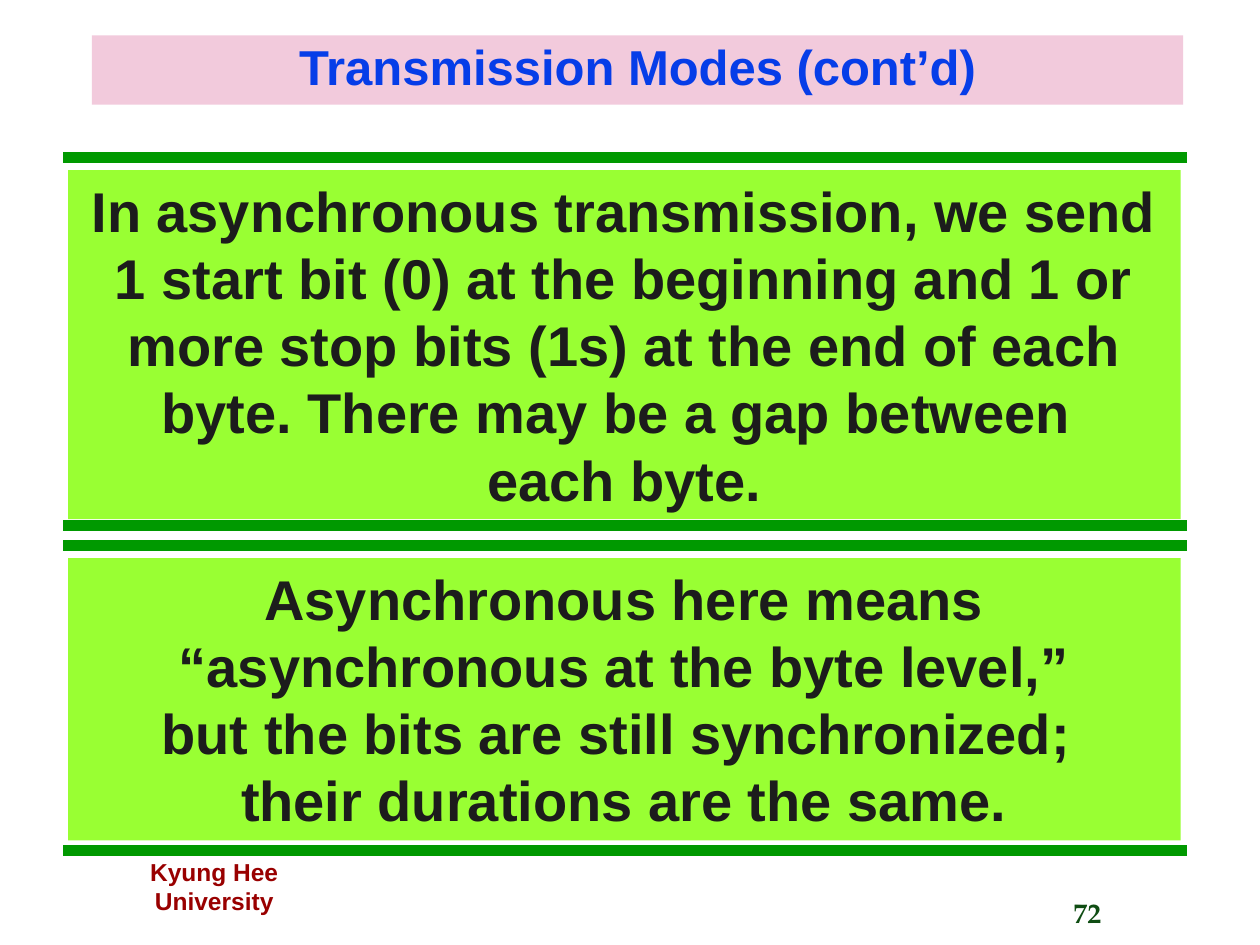
from pptx import Presentation
from pptx.dml.color import RGBColor
from pptx.enum.shapes import MSO_CONNECTOR
from pptx.enum.text import MSO_ANCHOR, PP_ALIGN
from pptx.oxml.ns import qn
from pptx.util import Pt

LINE = MSO_CONNECTOR.STRAIGHT
LEFT, CENTER = PP_ALIGN.LEFT, PP_ALIGN.CENTER
TOP, MIDDLE = MSO_ANCHOR.TOP, MSO_ANCHOR.MIDDLE

PINK = RGBColor(0xF2, 0xCA, 0xDC)
BLUE = RGBColor(0x06, 0x3D, 0xE8)
LIME = RGBColor(0x99, 0xFF, 0x33)
GREEN = RGBColor(0x00, 0x99, 0x00)
DARK_GREEN = RGBColor(0x0F, 0x4D, 0x13)
INK = RGBColor(0x1C, 0x1C, 0x1C)
MAROON = RGBColor(0x99, 0x00, 0x00)

TITLE = "Transmission Modes (cont’d)"
FOOTER = "Kyung Hee University"
PAGE = "72"

# top rule, bottom rule, box height, paragraphs
STATEMENTS = [
    (90, 300.24, 199.44, [
        "In asynchronous transmission, we send 1 start bit (0) at the beginning "
        "and 1 or more stop bits (1s) at the end of each byte. "
        "There may be a gap between \veach byte."]),
    (311.76, 486, 161.28, [
        "Asynchronous here means “asynchronous at the byte level,”",
        "but the bits are still synchronized; \vtheir durations are the same."]),
]
RULE_LEFT, RULE_RIGHT, RULE_WIDTH = 36, 678.24, 6
BOX_LEFT, BOX_WIDTH, BOX_GAP = 38.88, 635.76, 7.2

TITLE_FONT = dict(name="Arial", size=Pt(28), bold=True)
BODY_FONT = dict(name="Arial", size=Pt(32), bold=True)
FOOTER_FONT = dict(name="Arial", size=Pt(14), bold=True)
PAGE_FONT = dict(name="TeX Gyre Pagella", size=Pt(16), bold=True)


def add_text(s, box, paragraphs, font, color, fill=None, align=CENTER,
             anchor=TOP, wrap=True, spacing=None):
    sp = s.shapes.add_textbox(*map(Pt, box))
    if fill is not None:
        sp.fill.solid()
        sp.fill.fore_color.rgb = fill
    tf = sp.text_frame
    tf.word_wrap = wrap
    tf.vertical_anchor = anchor
    for i, text in enumerate(paragraphs):
        p = tf.add_paragraph() if i else tf.paragraphs[0]
        p.text = text
        p.alignment = align
        p.line_spacing = spacing
        for r in p.runs:
            for name, value in font.items():
                setattr(r.font, name, value)
            r.font.color.rgb = color


def add_rule(s, y):
    line = s.shapes.add_connector(LINE, Pt(RULE_LEFT), Pt(y), Pt(RULE_RIGHT), Pt(y))
    line.line.color.rgb = GREEN
    line.line.width = Pt(RULE_WIDTH)
    sp_pr = line._element.spPr
    sp_pr.append(sp_pr.makeelement(qn("a:effectLst"), {}))


prs = Presentation()
prs.slide_width, prs.slide_height = Pt(720), Pt(540)
s = prs.slides.add_slide(prs.slide_layouts[6])

add_text(s, (606.24, 508.32, 99.36, 30.24), [PAGE], PAGE_FONT, DARK_GREEN,
         align=LEFT, wrap=False)
add_text(s, (49.68, 486, 145.44, 41.04), [FOOTER], FOOTER_FONT, MAROON)
add_text(s, (52.56, 20.16, 623.52, 39.6), [TITLE], TITLE_FONT, BLUE,
         fill=PINK, anchor=MIDDLE, spacing=0.9)

for top, bottom, height, paragraphs in STATEMENTS:
    add_rule(s, top)
    add_rule(s, bottom)
    add_text(s, (BOX_LEFT, top + BOX_GAP, BOX_WIDTH, height), paragraphs,
             BODY_FONT, INK, fill=LIME)

prs.save("out.pptx")
